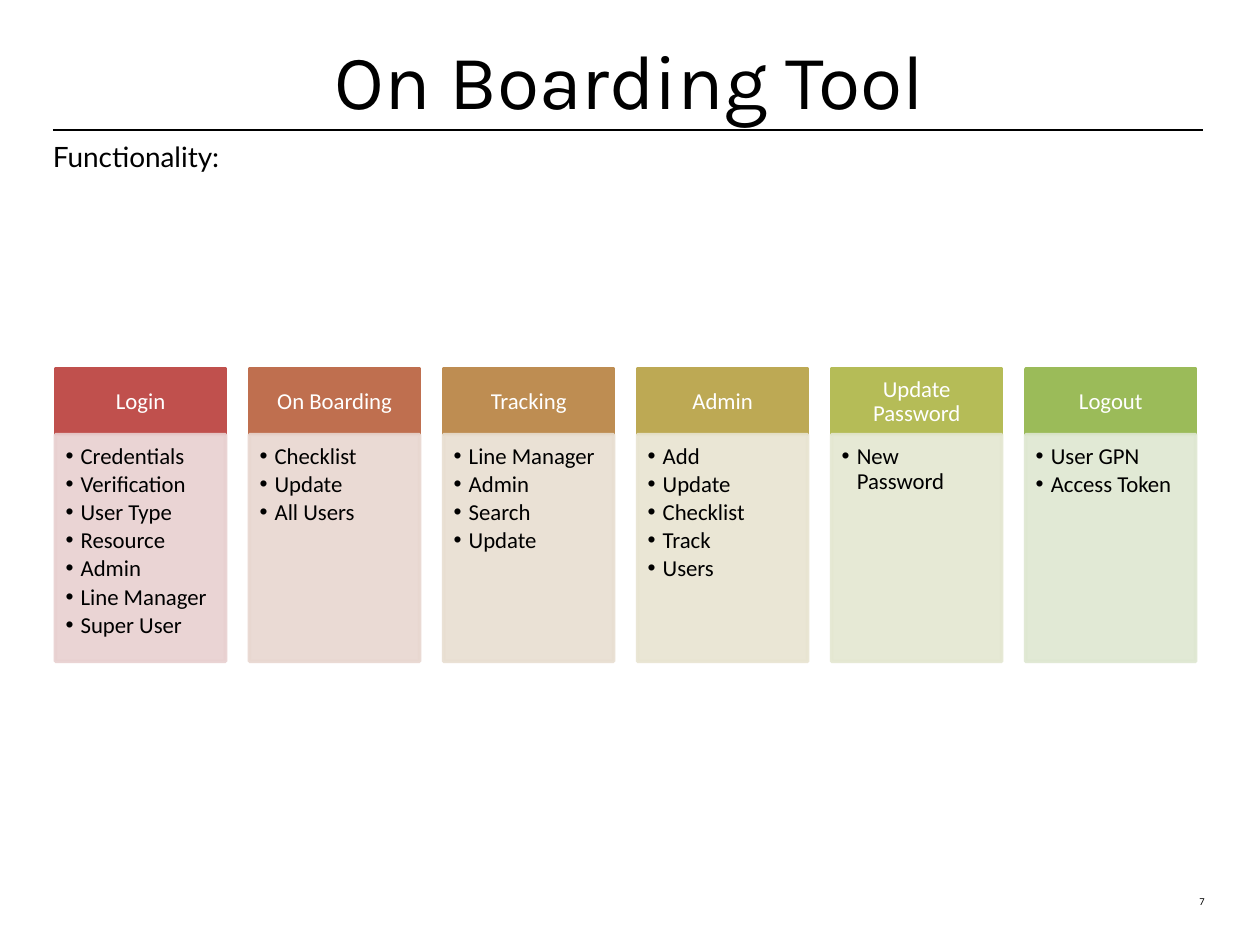
from lxml import etree
from pptx import Presentation
from pptx import util as u
from pptx.dml.color import RGBColor
from pptx.enum import shapes, text
from pptx.oxml.ns import qn

BLACK = "000000"
WHITE = "FFFFFF"

# Heading, heading colour, body colour, items
COLUMNS = [
    ("Login", "C0504D", "E8D0D0",
     ["Credentials", "Verification", "User Type", "Resource", "Admin",
      "Line Manager", "Super User"]),
    ("On Boarding", "BF6F4F", "E8D7D0", ["Checklist", "Update", "All Users"]),
    ("Tracking", "BE8D52", "E8DED1",
     ["Line Manager", "Admin", "Search", "Update"]),
    ("Admin", "BDA954", "E8E4D1",
     ["Add", "Update", "Checklist", "Track", "Users"]),
    ("Update Password", "B5BC57", "E4E7D1", ["New Password"]),
    ("Logout", "9BBB59", "DEE7D1", ["User GPN", "Access Token"]),
]
COLUMN_LEFT, COLUMN_STEP, COLUMN_WIDTH = 0.44, 1.54, 1.35
HEADING_TOP, HEADING_HEIGHT, BODY_HEIGHT = 2.93, 0.52, 1.8


def paint(color_format, color):
    color_format.rgb = RGBColor.from_string(color)


def add_bullet(paragraph):
    properties = paragraph._p.get_or_add_pPr()
    properties.set("marL", str(u.Inches(0.12)))
    properties.set("indent", str(u.Inches(-0.12)))
    etree.SubElement(properties, qn("a:buFont"), typeface="Arial")
    etree.SubElement(properties, qn("a:buChar"), char="•")


def write(shape, lines, font="Calibri", size=13, color=BLACK, align="LEFT",
          anchor="TOP", insets=(0, 0, 0, 0), line_spacing=None,
          space_after=None, bullets=False):
    """Fill a shape with one paragraph per line; insets are left, top, right, bottom."""
    frame = shape.text_frame
    frame.word_wrap = True
    frame.vertical_anchor = getattr(text.MSO_ANCHOR, anchor)
    (frame.margin_left, frame.margin_top,
     frame.margin_right, frame.margin_bottom) = map(u.Inches, insets)
    for index, line in enumerate(lines):
        paragraph = frame.add_paragraph() if index else frame.paragraphs[0]
        if bullets:
            paragraph.level = 1
            add_bullet(paragraph)
        paragraph.alignment = getattr(text.PP_ALIGN, align)
        paragraph.line_spacing = line_spacing
        paragraph.space_after = space_after
        run = paragraph.add_run()
        run.text = line
        run.font.name = font
        run.font.size = u.Pt(size)
        paint(run.font.color, color)


def add_text(slide, box, line, **style):
    write(slide.shapes.add_textbox(*map(u.Inches, box)), [line], **style)


def add_panel(slide, box, color, opacity=100):
    panel = slide.shapes.add_shape(shapes.MSO_SHAPE.RECTANGLE, *map(u.Inches, box))
    panel.shadow.inherit = False
    panel.fill.solid()
    paint(panel.fill.fore_color, color)
    paint(panel.line.color, color)
    panel.line.width = u.Pt(2)
    if opacity < 100:
        for element in panel._element.spPr.iter(qn("a:srgbClr")):
            etree.SubElement(element, qn("a:alpha"), val=str(opacity * 1000))
    return panel


def add_rule(slide, left, right, y):
    rule = slide.shapes.add_connector(
        shapes.MSO_CONNECTOR.STRAIGHT, *map(u.Inches, (left, y, right, y)))
    paint(rule.line.color, BLACK)
    rule.line.width = u.Pt(1.25)
    etree.SubElement(rule._element.spPr, qn("a:effectLst"))


def add_column(slide, left, heading, heading_color, body_color, items):
    header = add_panel(slide, (left, HEADING_TOP, COLUMN_WIDTH, HEADING_HEIGHT),
                       heading_color)
    write(header, [heading], color=WHITE, align="CENTER", anchor="MIDDLE",
          insets=(0.1, 0.06, 0.1, 0.06), line_spacing=0.9)
    body = add_panel(
        slide, (left, HEADING_TOP + HEADING_HEIGHT, COLUMN_WIDTH, BODY_HEIGHT),
        body_color, opacity=90)
    write(body, items, insets=(0.08, 0.08, 0.1, 0.11), line_spacing=0.9,
          space_after=u.Pt(2), bullets=True)


def main():
    presentation = Presentation()
    presentation.slide_width = u.Inches(10)
    presentation.slide_height = u.Inches(7.5)
    slide = presentation.slides.add_slide(presentation.slide_layouts[6])

    add_rule(slide, 0.42, 9.55, 1.03)
    add_text(slide, (9.15, 6.82, 0.41, 0.38), "7", size=6, align="RIGHT",
             anchor="BOTTOM")
    add_text(slide, (0.5, 0, 9, 1.25), "On Boarding Tool", font="Karla", size=44,
             align="CENTER", anchor="MIDDLE", insets=(0.1, 0.05, 0.1, 0.05))
    add_text(slide, (0.42, 1.11, 9.14, 5.46), "Functionality:", font="Lato", size=16)
    for index, column in enumerate(COLUMNS):
        add_column(slide, COLUMN_LEFT + index * COLUMN_STEP, *column)

    presentation.save("out.pptx")


if __name__ == "__main__":
    main()
